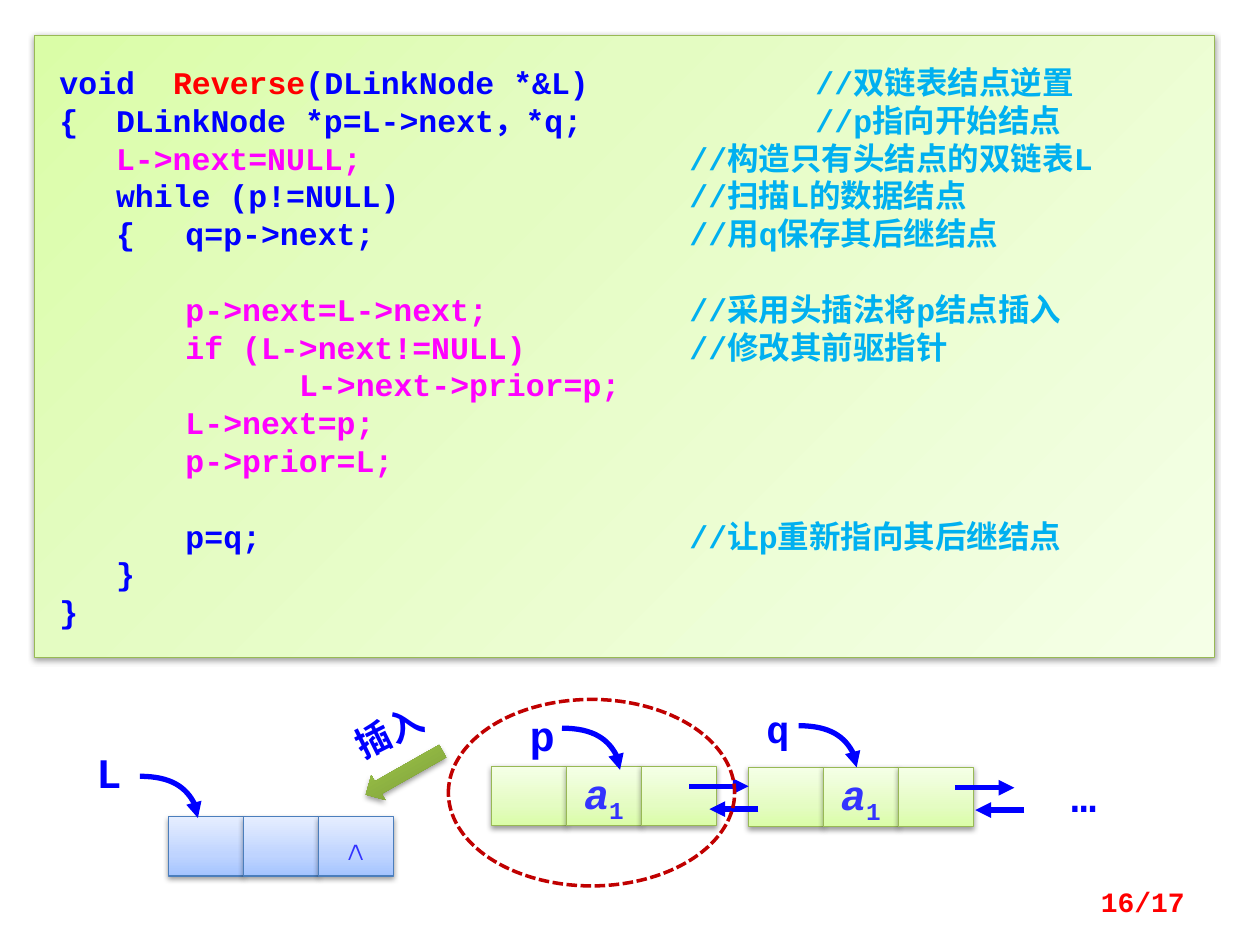
from dataclasses import dataclass
from pptx import Presentation
from pptx.dml.color import RGBColor
from pptx.enum.dml import MSO_LINE
from pptx.enum.shapes import MSO_CONNECTOR, MSO_SHAPE
from pptx.enum.text import MSO_ANCHOR, PP_ALIGN
from pptx.oxml import parse_xml
from pptx.oxml.ns import nsdecls, qn
from pptx.util import Cm, Pt


@dataclass(frozen=True)
class Theme:
    font: str = "Courier New"
    blue: str = "0000FF"
    cell: str = "3333FF"
    red: str = "FF0000"
    pink: str = "FF00FF"
    note: str = "00B0F0"
    ring: str = "C00000"
    green: tuple = ("98B955", ((0, "DAFDA7"), (35, "E4FCC2"), (100, "F5FFE7")))
    sky: tuple = ("4B7EBC", ((0, "A4C4FF"), (35, "BFD4FF"), (100, "E6EEFF")))
    leaf: tuple = (None, ((0, "779737"), (80, "9BC348"), (100, "9DC746")))
    code: int = 18
    mid: int = 20
    small: int = 22
    big: int = 24
    page: int = 16
    pitch: float = 21.6


T = Theme()


def xml(tag, attrs="", body=""):
    return parse_xml(f"<a:{tag} {nsdecls('a')} {attrs}>{body}</a:{tag}>")


class Board:
    def __init__(self, slide, theme):
        self.shapes = slide.shapes
        self.theme = theme

    def style(self, run, size, color, bold=True):
        run.font.name = self.theme.font
        run.font.size = Pt(size)
        run.font.bold = bold
        run.font.color.rgb = RGBColor.from_string(color)

    def stroke(self, line, color, width):
        line.color.rgb = RGBColor.from_string(color)
        line.width = Pt(width)

    def tip(self, shape):
        self.stroke(shape.line, self.theme.blue, 3)
        shape.line._get_or_add_ln().append(xml("tailEnd", 'type="triangle"'))

    def shade(self, kind, box, look, angle=270, turn=0):
        """Shape with a gradient fill and a soft shadow."""
        edge, stops = look
        shape = self.shapes.add_shape(kind, *map(Cm, box))
        shape.rotation = turn
        shape.fill.solid()
        props = shape._element.spPr
        body = "".join(f'<a:gs pos="{pos * 1000}"><a:srgbClr val="{color}"/></a:gs>'
                       for pos, color in stops)
        grad = xml("gradFill", 'rotWithShape="1"',
                   f'<a:gsLst>{body}</a:gsLst><a:lin ang="{angle * 60000}" scaled="0"/>')
        props.replace(props.find(qn("a:solidFill")), grad)
        if edge:
            self.stroke(shape.line, edge, 0.75)
        else:
            shape.line.fill.background()
        shape.shadow.inherit = False
        props.find(qn("a:effectLst")).append(xml(
            "outerShdw", 'blurRad="40000" dist="20000" dir="5400000" rotWithShape="0"',
            '<a:srgbClr val="000000"><a:alpha val="38000"/></a:srgbClr>'))
        return shape

    def label(self, text, box, size, color=T.blue, align=PP_ALIGN.CENTER, inset=0, turn=0):
        shape = self.shapes.add_textbox(*map(Cm, box))
        shape.rotation = turn
        frame = shape.text_frame
        frame.word_wrap = True
        frame.margin_left = frame.margin_right = Cm(inset)
        frame.margin_top = frame.margin_bottom = Cm(inset / 2)
        frame.text = text
        frame.paragraphs[0].alignment = align
        self.style(frame.paragraphs[0].runs[0], size, color)
        return frame

    def node(self, x, y, look, marks):
        """Three joined cells; a two-letter mark has its index lowered."""
        wide, high = 1.51, 1.2
        for i, mark in enumerate(marks):
            cell = self.shade(MSO_SHAPE.RECTANGLE, (x + i * wide, y, wide, high), look)
            if not mark:
                continue
            frame = cell.text_frame
            frame.word_wrap = False
            frame.vertical_anchor = MSO_ANCHOR.MIDDLE
            para = frame.paragraphs[0]
            para.alignment = PP_ALIGN.CENTER
            para.text = mark[0]
            pair = len(mark) > 1
            self.style(para.runs[0], T.big if pair else T.mid, T.cell)
            if pair:
                para.runs[0].font.italic = True
                low = para.add_run()
                low.text = mark[1]
                self.style(low, T.big, T.cell)
                low.font._element.set("baseline", "-25000")

    def bend(self, x, y):
        """Quarter-turn pointer that ends in an arrowhead."""
        wide, high = Cm(1.17), Cm(0.84)
        form = self.shapes.build_freeform(Cm(x), Cm(y))
        form.add_line_segments([(Cm(x) + wide, Cm(y) + high)], close=False)
        shape = form.convert_to_shape()
        step = next(shape._element.iter(qn("a:lnTo")))
        spots = ((0.55 * wide, 0), (wide, 0.45 * high), (wide, high))
        body = "".join(f'<a:pt x="{int(a)}" y="{int(b)}"/>' for a, b in spots)
        step.getparent().replace(step, xml("cubicBezTo", "", body))
        shape.fill.background()
        shape.shadow.inherit = False
        self.tip(shape)

    def arrow(self, x, y, end):
        line = self.shapes.add_connector(MSO_CONNECTOR.STRAIGHT, *map(Cm, (x, y, end, y)))
        self.tip(line)
        line._element.spPr.append(xml("effectLst"))

    def ring(self, box):
        shape = self.shapes.add_shape(MSO_SHAPE.OVAL, *map(Cm, box))
        shape.fill.background()
        shape.shadow.inherit = False
        self.stroke(shape.line, T.ring, 2)
        shape.line.dash_style = MSO_LINE.SQUARE_DOT

    def code(self, box, rows):
        """Code panel; each row has its gap above, tab stops and coloured runs."""
        frame = self.shade(MSO_SHAPE.RECTANGLE, box, T.green, 45).text_frame
        frame.word_wrap = True
        frame.vertical_anchor = MSO_ANCHOR.MIDDLE
        frame.margin_left = frame.margin_top = frame.margin_bottom = Cm(0.51)
        for i, (gap, stops, parts) in enumerate(rows):
            para = frame.add_paragraph() if i else frame.paragraphs[0]
            para.alignment = PP_ALIGN.LEFT
            para.line_spacing = Pt(T.pitch)
            para.space_before = Pt(gap * T.pitch)
            body = "".join(f'<a:tab pos="{Cm(stop)}" algn="l"/>' for stop in stops)
            para._p.get_or_add_pPr().append(xml("tabLst", "", body))
            for text, color in parts:
                run = para.add_run()
                run.text = text
                self.style(run, T.code, color)


deck = Presentation()
deck.slide_width, deck.slide_height = Cm(25.4), Cm(19.05)
board = Board(deck.slides.add_slide(deck.slide_layouts[6]), T)

# Code panel: tab stops for two indents, a deep indent and the notes
ONE, TWO, DEEP, NOTE, FAR = 1.14, 2.54, 4.83, 12.7, 15.24
board.code((0.69, 0.71, 23.8, 12.55), [
    (0, (2.29, FAR), [("void\t", T.blue), ("Reverse", T.red),
                      ("(DLinkNode *&L)\t", T.blue), ("//双链表结点逆置", T.note)]),
    (0, (ONE, FAR), [("{\tDLinkNode *p=L->next,*q;\t".replace(",", "，"), T.blue),
                     ("//p指向开始结点", T.note)]),
    (0, (ONE, NOTE), [("\tL->next=NULL;\t", T.pink), ("//构造只有头结点的双链表L", T.note)]),
    (0, (ONE, NOTE), [("\twhile (p!=NULL)\t", T.blue), ("//扫描L的数据结点", T.note)]),
    (0, (ONE, TWO, NOTE), [("\t{\tq=p->next;\t", T.blue), ("//用q保存其后继结点", T.note)]),
    (1, (TWO, NOTE), [("\tp->next=L->next;\t", T.pink), ("//采用头插法将p结点插入", T.note)]),
    (0, (TWO, NOTE), [("\tif (L->next!=NULL)\t", T.pink), ("//修改其前驱指针", T.note)]),
    (0, (DEEP,), [("\tL->next->prior=p;", T.pink)]),
    (0, (TWO,), [("\tL->next=p;", T.pink)]),
    (0, (TWO,), [("\tp->prior=L;", T.pink)]),
    (1, (TWO, NOTE), [("\tp=q;\t", T.blue), ("//让p重新指向其后继结点", T.note)]),
    (0, (ONE,), [("\t}", T.blue)]),
    (0, (), [("}", T.blue)]),
])

# List nodes
for x, y, look, marks in [(3.4, 16.46, T.sky, ("", "", "∧")),
                          (9.91, 15.45, T.green, ("", "a1", "")),
                          (15.09, 15.47, T.green, ("", "a1", ""))]:
    board.node(x, y, look, marks)

# Named pointers
for name, x, y, size, bx, by in [("L", 1.4, 15.04, T.big, 2.82, 15.65),
                                 ("p", 10.13, 14.3, T.big, 11.33, 14.68),
                                 ("q", 14.88, 14.22, T.small, 16.1, 14.63)]:
    board.label(name, (x, y, 1.6, 1.02), size)
    board.bend(bx, by)

# Links between nodes
for x, y, end in [(13.89, 15.85, 15.09), (15.29, 16.31, 14.3),
                  (19.25, 15.88, 20.45), (20.65, 16.33, 19.66)]:
    board.arrow(x, y, end)
board.label("…", (20.65, 15.54, 2.39, 1.02), T.big)

# Insertion step
board.ring((9.04, 14.1, 5.77, 3.76))
board.shade(MSO_SHAPE.LEFT_ARROW, (7.26, 15.29, 1.78, 0.58), T.leaf, turn=330.5)
board.label("插入", (6.55, 14.2, 2.59, 1.12), T.mid, inset=0.25, turn=333.6)

# Page number
page = board.label("16/17", (18.21, 17.65, 5.92, 1.02), T.page, T.red, PP_ALIGN.RIGHT, 0.25)
page.vertical_anchor = MSO_ANCHOR.MIDDLE

deck.save("out.pptx")
